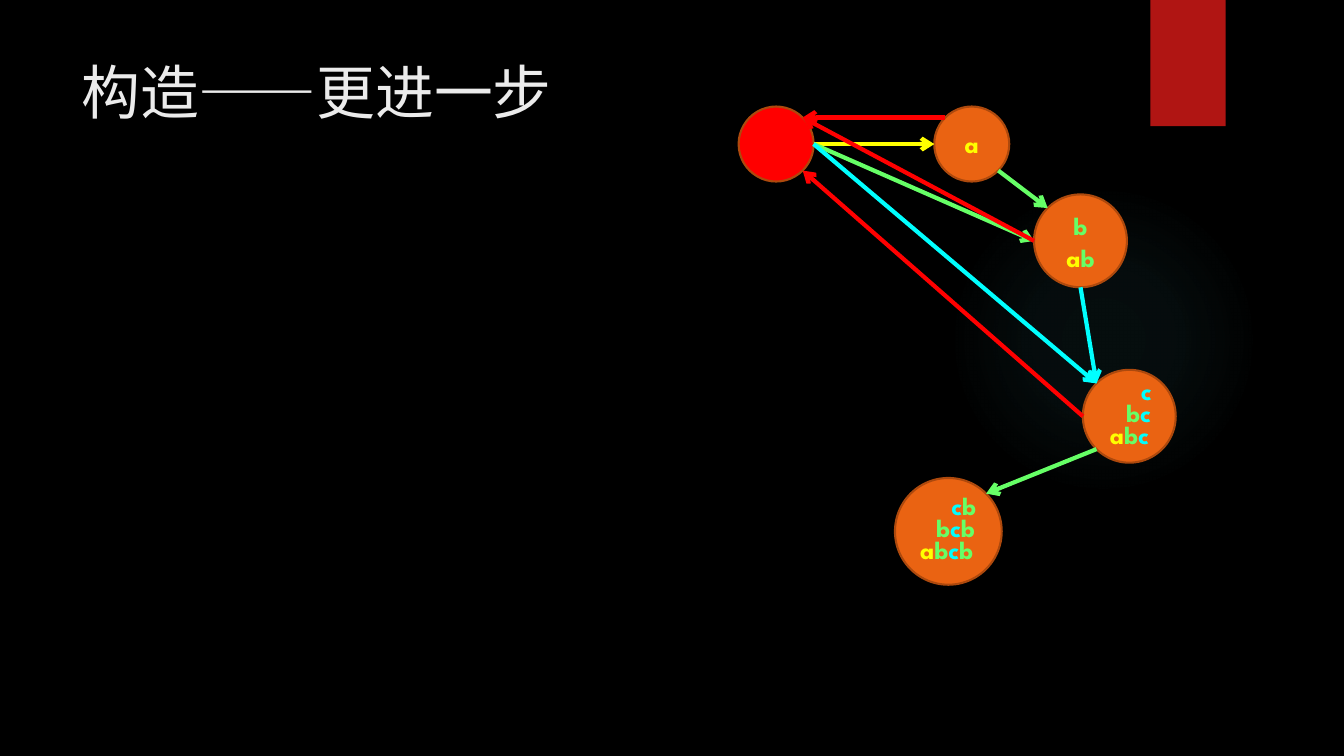
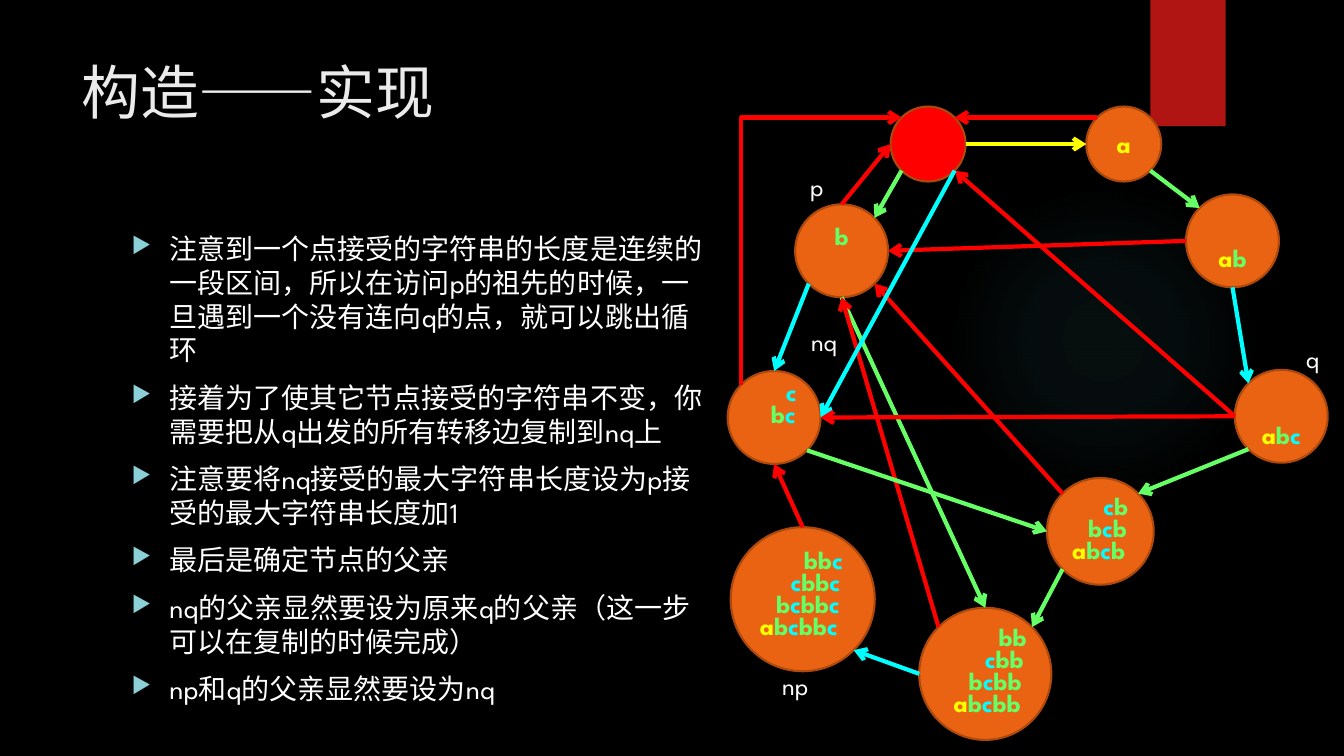
from math import cos, radians, sin

from lxml import etree
from pptx import Presentation
from pptx.dml.color import RGBColor
from pptx.enum.shapes import MSO_CONNECTOR as LINK, MSO_SHAPE as SHAPE
from pptx.enum.text import PP_ALIGN as ALIGN
from pptx.oxml import parse_xml
from pptx.oxml.ns import nsdecls, qn
from pptx.util import Cm, Pt

FONT = "League Spartan"
WHITE, RED, YELLOW, GREEN, CYAN = "FFFFFF", "FF0000", "FFFF00", "66FF66", "00FFFF"
ORANGE, RIM = "EA6312", "AD490D"
LETTER_COLOURS = {"a": YELLOW, "b": GREEN, "c": CYAN}
ANGLES = {"e": 0, "se": 45, "s": 90, "sw": 135, "w": 180, "nw": 225, "n": 270, "ne": 315}


def rgb(hex_text):
    return RGBColor.from_string(hex_text)


def write(slide, box, paragraphs, size, align=ALIGN.LEFT, bold=False):
    """Add a text box; each paragraph is a list of (text, colour) runs."""
    frame = slide.shapes.add_textbox(*(Cm(length) for length in box)).text_frame
    frame.word_wrap = True
    for number, runs in enumerate(paragraphs):
        paragraph = frame.add_paragraph() if number else frame.paragraphs[0]
        paragraph.alignment = align
        for text, colour in runs:
            run = paragraph.add_run()
            run.text = text
            run.font.name, run.font.size, run.font.bold = FONT, Pt(size), bold
            run.font.color.rgb = rgb(colour)
    return frame.paragraphs


# States of the automaton: centre x, centre y, diameter
chain = {
    "root": (19.56, 3.63, 1.89),
    "a": (24.49, 3.63, 1.89),
    "ab": (27.23, 6.07, 2.34),
    "abc": (28.46, 10.49, 2.34),
    "abcb": (23.9, 13.39, 2.69),
}
shifted_chain = {state: (x + 3.83, y, d) for state, (x, y, d) in chain.items()}
branches = {
    "p": (21.21, 6.32, 2.34),
    "nq": (19.51, 10.52, 2.34),
    "abcbb": (24.83, 16.98, 3.33),
    "np": (20.23, 15.1, 3.63),
}

# Where each accepted word sits, measured from the centre of its state
word_offsets = {
    "a": (0, 0), "b": (0, -0.38), "ab": (0, 0.41),
    "c": (0.43, -0.64), "bc": (0.23, -0.1), "abc": (0, 0.46),
    "cb": (0.39, -0.64), "bcb": (0.18, -0.1), "abcb": (-0.04, 0.46),
    "bb": (0.69, -0.93), "cbb": (0.48, -0.39), "bcbb": (0.25, 0.17), "abcbb": (0.05, 0.72),
    "bbc": (0.52, -1), "cbbc": (0.32, -0.44), "bcbbc": (0.13, 0.11), "abcbbc": (-0.1, 0.67),
}

# Arrows: from state and side, to state and side, colour
chain_arrows = [
    ("root", "e", "a", "w", YELLOW),
    ("a", "se", "ab", "nw", GREEN),
    ("ab", "s", "abc", "nw", CYAN),
    ("abc", "sw", "abcb", "ne", GREEN),
    ("a", "nw", "root", "ne", RED),
    ("abc", "w", "root", "se", RED),
]

pages = [
    {
        "title": "构造——更进一步",
        "states": chain,
        "words": {"a": "a", "ab": "b ab", "abc": "c bc abc", "abcb": "cb bcb abcb"},
        "arrows": chain_arrows + [
            ("root", "e", "ab", "w", GREEN),
            ("root", "e", "abc", "nw", CYAN),
            ("ab", "w", "root", "ne", RED),
        ],
        "points": [],
        "labels": {},
    },
    {
        "title": "构造——实现",
        "states": shifted_chain | branches,
        "words": {
            "a": "a", "ab": "ab", "abc": "abc", "abcb": "cb bcb abcb",
            "p": "b", "nq": "c bc",
            "abcbb": "bb cbb bcbb abcbb", "np": "bbc cbbc bcbbc abcbbc",
        },
        "arrows": chain_arrows + [
            ("root", "sw", "p", "ne", GREEN),
            ("p", "n", "root", "w", RED),
            ("abcb", "nw", "p", "se", RED),
            ("ab", "w", "p", "e", RED),
            ("abcb", "sw", "abcbb", "ne", GREEN),
            ("p", "s", "abcbb", "n", GREEN),
            ("abcbb", "nw", "p", "s", RED),
            ("abcbb", "w", "np", "se", CYAN),
            ("p", "sw", "nq", "n", CYAN),
            ("root", "se", "nq", "e", CYAN),
            ("nq", "se", "abcb", "w", GREEN),
            ("np", "n", "nq", "s", RED),
            ("nq", "nw", "root", "nw", RED),
            ("abc", "w", "nq", "e", RED),
        ],
        "points": [
            "注意到一个点接受的字符串的长度是连续的一段区间，所以在访问p的祖先的时候，一旦遇到一个没有连向q的点，就可以跳出循环",
            "接着为了使其它节点接受的字符串不变，你需要把从q出发的所有转移边复制到nq上",
            "注意要将nq接受的最大字符串长度设为p接受的最大字符串长度加1",
            "最后是确定节点的父亲",
            "nq的父亲显然要设为原来q的父亲（这一步可以在复制的时候完成）",
            "np和q的父亲显然要设为nq",
        ],
        "labels": {"p": (20.17, 4.19), "q": (32.66, 8.53), "np": (19.46, 16.76), "nq": (20.19, 8.1)},
    },
]

glow_stops = "".join(
    f'<a:gs pos="{place}000"><a:srgbClr val="50B9C1"><a:alpha val="{alpha}000"/></a:srgbClr></a:gs>'
    for place, alpha in [(0, 7), (36, 6), (69, 0)]
)

prs = Presentation()
prs.slide_width, prs.slide_height = Cm(33.87), Cm(19.05)

for page in pages:
    slide = prs.slides.add_slide(prs.slide_layouts[6])
    shapes = slide.shapes

    # Black ground, soft glow, red band and title
    slide.background.fill.solid()
    slide.background.fill.fore_color.rgb = rgb("000000")
    glow = shapes.add_shape(SHAPE.OVAL, Cm(23.9), Cm(4.65), Cm(7.82), Cm(7.82))
    glow.shadow.inherit = False
    glow.line.fill.background()
    glow.element.spPr.insert(2, parse_xml(
        f'<a:gradFill {nsdecls("a")}><a:gsLst>{glow_stops}</a:gsLst><a:path path="circle">'
        '<a:fillToRect l="50000" t="50000" r="50000" b="50000"/></a:path></a:gradFill>'))
    band = shapes.add_shape(SHAPE.RECTANGLE, Cm(28.99), 0, Cm(1.9), Cm(3.18))
    band.shadow.inherit = False
    band.fill.solid()
    band.fill.fore_color.rgb = rgb("B01513")
    band.line.fill.background()
    write(slide, (1.8, 1.27, 26.14, 3.89), [[(page["title"], "EBEBEB")]], 42)

    # Bulleted explanation
    if page["points"]:
        points = write(slide, (3.07, 5.72, 15.24, 12.52),
                       [[(point, WHITE)] for point in page["points"]], 20)
        for point in points:
            point.space_before = Pt(10)
            props = point._p.get_or_add_pPr()
            props.set("marL", str(Cm(0.95)))
            props.set("indent", str(-Cm(0.95)))
            bullet_colour = etree.SubElement(props, qn("a:buClr"))
            etree.SubElement(bullet_colour, qn("a:srgbClr"), val="8AD0D6")
            etree.SubElement(props, qn("a:buSzPct"), val="80000")
            etree.SubElement(props, qn("a:buChar"), char="▶")

    # States
    for state, (x, y, size) in page["states"].items():
        circle = shapes.add_shape(SHAPE.OVAL, Cm(x - size / 2), Cm(y - size / 2), Cm(size), Cm(size))
        circle.shadow.inherit = False
        circle.fill.solid()
        circle.fill.fore_color.rgb = rgb(RED if state == "root" else ORANGE)
        circle.line.color.rgb = rgb(RIM)
        circle.line.width = Pt(1.5)

    # Transitions and parent links
    for start, start_side, end, end_side, colour in page["arrows"]:
        ends = []
        for state, side in [(start, start_side), (end, end_side)]:
            x, y, size = page["states"][state]
            angle = radians(ANGLES[side])
            ends += [Cm(x + size / 2 * cos(angle)), Cm(y + size / 2 * sin(angle))]
        bent = (start, end) == ("nq", "root")
        arrow = shapes.add_connector(LINK.ELBOW if bent else LINK.STRAIGHT, *ends)
        arrow.line.color.rgb = rgb(colour)
        arrow.line.width = Pt(3)
        etree.SubElement(arrow.line._get_or_add_ln(), qn("a:tailEnd"), type="arrow")
        outline = arrow._element.spPr
        etree.SubElement(outline, qn("a:effectLst"))
        if bent:  # turn at the start, so the link rises before it runs right
            guides = outline.find(qn("a:prstGeom")).find(qn("a:avLst"))
            etree.SubElement(guides, qn("a:gd"), name="adj1", fmla="val 0")

    # Accepted words, each letter in its own colour
    for state, words in page["words"].items():
        x, y, _ = page["states"][state]
        for word in words.split():
            dx, dy = word_offsets[word]
            write(slide, (x + dx - 1.7, y + dy - 0.51, 3.4, 1.02),
                  [[(letter, LETTER_COLOURS[letter]) for letter in word]], 18, ALIGN.CENTER, True)

    # Names beside the states
    for label, (left, top) in page["labels"].items():
        write(slide, (left, top, 1.35, 1.02), [[(label, WHITE)]], 18)

prs.save("out.pptx")
